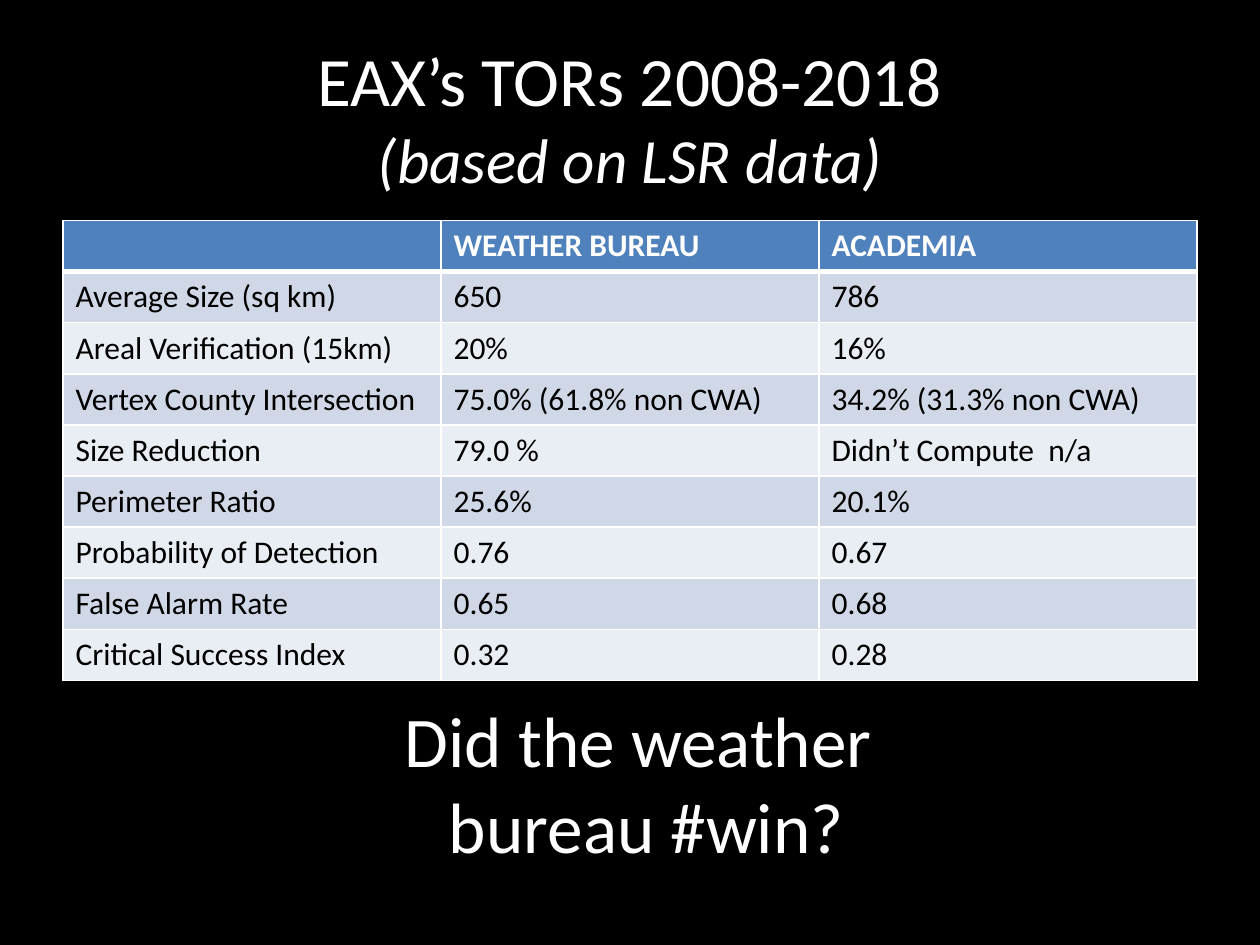
from lxml import etree
from pptx import Presentation
from pptx.dml.color import RGBColor
from pptx.enum.text import MSO_ANCHOR, PP_ALIGN
from pptx.oxml.ns import qn
from pptx.util import Inches, Pt

CENTER = PP_ALIGN.CENTER
MIDDLE = MSO_ANCHOR.MIDDLE

BLACK = RGBColor(0x00, 0x00, 0x00)
WHITE = RGBColor(0xFF, 0xFF, 0xFF)
HEADER_BLUE = RGBColor(0x4F, 0x81, 0xBD)
BAND_DARK = RGBColor(0xD0, 0xD8, 0xE8)
BAND_LIGHT = RGBColor(0xE9, 0xED, 0xF4)
FONT = "Calibri"

SCORES = [
    ("", "WEATHER BUREAU", "ACADEMIA"),
    ("Average Size (sq km)", "650", "786"),
    ("Areal Verification (15km)", "20%", "16%"),
    ("Vertex County Intersection", "75.0% (61.8% non CWA)", "34.2% (31.3% non CWA)"),
    ("Size Reduction", "79.0 %", "Didn’t Compute  n/a"),
    ("Perimeter Ratio", "25.6%", "20.1%"),
    ("Probability of Detection", "0.76", "0.67"),
    ("False Alarm Rate", "0.65", "0.68"),
    ("Critical Success Index", "0.32", "0.28"),
]


def style_font(font, size, color, bold=None):
    font.name = FONT
    font.size = Pt(size)
    font.color.rgb = color
    font.bold = bold


def add_text_frame(slide, box):
    text_frame = slide.shapes.add_textbox(*box).text_frame
    text_frame.word_wrap = True
    text_frame.vertical_anchor = MIDDLE
    return text_frame


def add_title(slide, box):
    paragraph = add_text_frame(slide, box).paragraphs[0]
    paragraph.alignment = CENTER
    heading = paragraph.add_run()
    heading.text = "EAX’s TORs 2008-2018"
    style_font(heading.font, 39.6, WHITE)
    paragraph.add_line_break()
    subtitle = paragraph.add_run()
    subtitle.text = "(based on LSR data)"
    style_font(subtitle.font, 36, WHITE)
    subtitle.font.italic = True


def add_borders(cell, bottom_width):
    properties = cell._tc.get_or_add_tcPr()
    widths = {"a:lnL": 1, "a:lnR": 1, "a:lnT": 1, "a:lnB": bottom_width}
    for tag, width in widths.items():
        line = etree.SubElement(properties, qn(tag), w=str(Pt(width)))
        fill = etree.SubElement(line, qn("a:solidFill"))
        etree.SubElement(fill, qn("a:srgbClr"), val=str(WHITE))


def add_score_table(slide, box):
    row_count, column_count = len(SCORES), len(SCORES[0])
    table = slide.shapes.add_table(row_count, column_count, *box).table
    for row_index, values in enumerate(SCORES):
        is_header = row_index == 0
        band = BAND_DARK if row_index % 2 else BAND_LIGHT
        for column_index, value in enumerate(values):
            cell = table.cell(row_index, column_index)
            add_borders(cell, 3 if is_header else 1)
            cell.fill.solid()
            cell.fill.fore_color.rgb = HEADER_BLUE if is_header else band
            cell.text = value
            color = WHITE if is_header else BLACK
            style_font(cell.text_frame.paragraphs[0].font, 18, color, is_header)


def add_closing_question(slide, box):
    text_frame = add_text_frame(slide, box)
    text_frame.text = "Did the weather \nbureau #win?"
    for paragraph in text_frame.paragraphs:
        paragraph.alignment = CENTER
        style_font(paragraph.font, 40.7, WHITE)


def main():
    presentation = Presentation()
    presentation.slide_width = Inches(10)
    presentation.slide_height = Inches(7.5)
    slide = presentation.slides.add_slide(presentation.slide_layouts[6])
    slide.background.fill.solid()
    slide.background.fill.fore_color.rgb = BLACK

    add_title(slide, (Inches(0.5), Inches(0.3), Inches(9), Inches(1.25)))
    add_score_table(slide, (Inches(0.5), Inches(1.75), Inches(9), Inches(3.65)))
    add_closing_question(slide, (Inches(0.63), Inches(5.58), Inches(9), Inches(1.25)))

    presentation.save("out.pptx")


if __name__ == "__main__":
    main()
